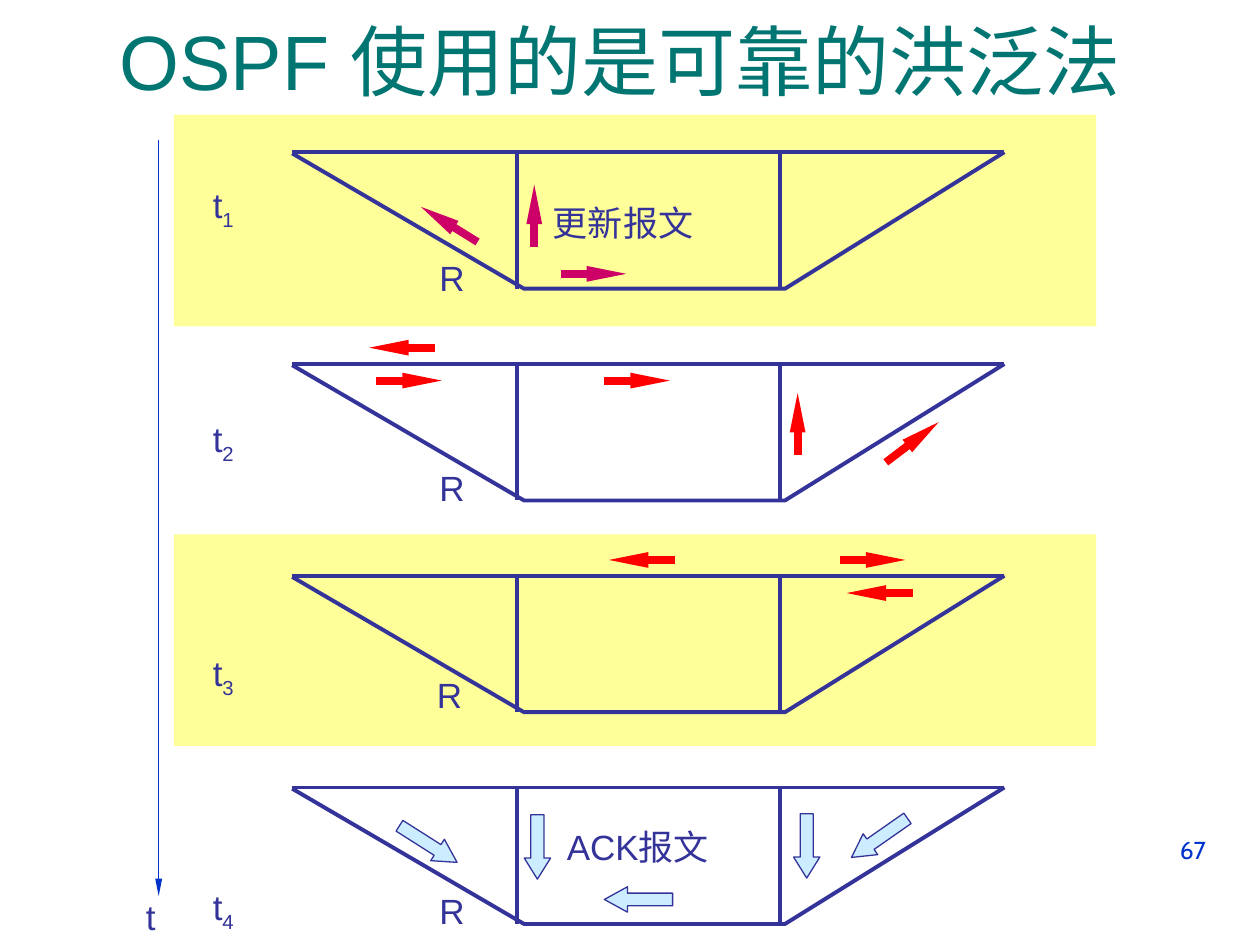
from dataclasses import dataclass

from lxml.etree import SubElement
from pptx import Presentation
from pptx.dml.color import RGBColor as RGB
from pptx.enum.shapes import MSO_CONNECTOR as CONN, MSO_SHAPE as SHAPE
from pptx.enum.text import MSO_ANCHOR as ANCHOR, MSO_AUTO_SIZE as AUTO, PP_ALIGN as ALIGN
from pptx.oxml.ns import qn
from pptx.util import Pt


@dataclass(frozen=True)
class Theme:
    title: RGB = RGB(0x00, 0x75, 0x72)
    ink: RGB = RGB(0x33, 0x33, 0x99)
    band: RGB = RGB(0xFF, 0xFF, 0x99)
    update: RGB = RGB(0xCC, 0x00, 0x66)
    forward: RGB = RGB(0xFF, 0x00, 0x00)
    ack: RGB = RGB(0xCC, 0xEC, 0xFF)
    axis: RGB = RGB(0x00, 0x33, 0xCC)
    font: str = "Arial"
    number_font: str = "Cabin"
    title_size: int = 44
    label_size: int = 20
    number_size: int = 14


T = Theme()
STEP = 121  # distance between successive moments
TOP, DEPTH = 87, 78  # first network: top edge and height
LEFT, RIGHT = 167, 574
FOOT_LEFT, FOOT_RIGHT = 299.5, 448.6
LINKS_X = (295.2, 445.7)

# Message arrows: start x, y and end x, y
UPDATES = [(320.4, 156.5, 357.8, 156.5), (272.9, 138.3, 240.5, 118.2),
           (305.3, 141, 305.3, 105.5)]
FORWARDS = [
    # t2
    (506.2, 264.2, 536.4, 241.2), (455.8, 260, 455.8, 224.6),
    (248.4, 198.7, 211, 198.7), (345.2, 217.5, 382.8, 217.5),
    (214.8, 217.5, 252.4, 217.5),
    # t3
    (385.6, 320, 348, 320), (479.9, 320, 517.4, 320), (521.6, 338.9, 483.8, 338.9),
]
# Acknowledgements: left, top, width, height, rotation, head length
ACKS = [(299.6, 465.6, 15, 36.8, 0, 0.8), (453.5, 465, 15, 36.8, 0, 0.8),
        (357.6, 494.5, 14.5, 39, 90, 0.91), (495.3, 459.3, 14.5, 39, 55.1, 0.91),
        (237.5, 462.8, 14.5, 39, 302.4, 0.91)]


def write(p, text, *, size=T.label_size, color=T.ink, font=T.font, sub=False):
    r = p.add_run()
    r.text = text
    r.font.size, r.font.name = Pt(size), font
    r.font.color.rgb = color
    if sub:
        r.font._element.set("baseline", "-25000")


def text_box(s, x, y, w, h, wrap=False):
    tf = s.shapes.add_textbox(Pt(x), Pt(y), Pt(w), Pt(h)).text_frame
    tf.word_wrap = wrap
    tf.auto_size = AUTO.SHAPE_TO_FIT_TEXT
    return tf


def label(s, text, x, y, w, h=31, wrap=False):
    write(text_box(s, x, y, w, h, wrap).paragraphs[0], text)


def line(s, x1, y1, x2, y2, color=T.ink, width=2.25, head=False):
    c = s.shapes.add_connector(CONN.STRAIGHT, Pt(x1), Pt(y1), Pt(x2), Pt(y2))
    c.line.color.rgb, c.line.width = color, Pt(width)
    if head:
        SubElement(c.line._get_or_add_ln(), qn("a:tailEnd"), type="triangle", w="sm", len="lg")
    SubElement(c._element.spPr, qn("a:effectLst"))


def shape(s, kind, x, y, w, h, fill, outline=None):
    sp = s.shapes.add_shape(kind, Pt(x), Pt(y), Pt(w), Pt(h))
    sp.shadow.inherit = False
    sp.fill.solid()
    sp.fill.fore_color.rgb = fill
    if outline:
        sp.line.color.rgb, sp.line.width = outline, Pt(0.75)
    else:
        sp.line.fill.background()
    return sp


def network(s, top):
    bottom = top + DEPTH
    line(s, LEFT, top, RIGHT, top)
    builder = s.shapes.build_freeform(Pt(LEFT), Pt(top + 0.7))
    builder.add_line_segments([(Pt(FOOT_LEFT), Pt(bottom)), (Pt(FOOT_RIGHT), Pt(bottom)),
                               (Pt(RIGHT), Pt(top))], close=False)
    sp = builder.convert_to_shape()
    sp.shadow.inherit = False
    sp.fill.background()
    sp.line.color.rgb, sp.line.width = T.ink, Pt(2.25)
    for x in LINKS_X:
        line(s, x, top, x, bottom)


def block_arrow(s, x, y, w, h, rotation, head):
    sp = shape(s, SHAPE.DOWN_ARROW, x, y, w, h, T.ack, T.ink)
    sp.adjustments[0], sp.adjustments[1] = 0.5, head
    sp.rotation = rotation


def title(s, text):
    sp = s.shapes.title
    sp.left, sp.top, sp.width, sp.height = Pt(48), Pt(3.6), Pt(613.4), Pt(60.5)
    tf = sp.text_frame
    tf.vertical_anchor, tf.word_wrap = ANCHOR.MIDDLE, True
    p = tf.paragraphs[0]
    p.alignment = ALIGN.CENTER
    write(p, text, size=T.title_size, color=T.title)


def time_labels(s):
    tf = text_box(s, 114.5, 100, 27.4, 411)
    for i in range(4):
        p = tf.add_paragraph() if i else tf.paragraphs[0]
        p.line_spacing = 1.05
        if i:
            p.space_before = Pt(105)
        write(p, "t")
        write(p, str(i + 1), sub=True)


def page_number(s, text):
    p = text_box(s, 516.2, 473.8, 180, 37.4, wrap=True).paragraphs[0]
    p.alignment = ALIGN.RIGHT
    write(p, text, size=T.number_size, color=T.axis, font=T.number_font)


def main():
    prs = Presentation()
    prs.slide_width, prs.slide_height = Pt(720), Pt(540)
    s = prs.slides.add_slide(prs.slide_layouts[5])
    title(s, "OSPF 使用的是可靠的洪泛法")

    # Bands behind t1 and t3
    for y in (65.5, 305.3):
        shape(s, SHAPE.RECTANGLE, 99.4, y, 527, 121, T.band)

    # The same network at four moments
    for i in range(4):
        network(s, TOP + i * STEP)

    # Messages
    for ends in UPDATES:
        line(s, *ends, color=T.update, width=4.5, head=True)
    for ends in FORWARDS:
        line(s, *ends, color=T.forward, width=4.5, head=True)
    for ack in ACKS:
        block_arrow(s, *ack)

    # Time axis
    line(s, 90.7, 80, 90.7, 512, color=T.axis, width=0.75, head=True)
    label(s, "t", 76.3, 508.3, 20.2)
    time_labels(s)

    # Labels
    label(s, "更新报文", 308.9, 111.6, 94.3)
    label(s, "ACK报文", 316.8, 468, 95.8, wrap=True)
    for x, y in ((244, 143.3), (244, 262.8), (242.6, 381.6), (244, 504.7)):
        label(s, "R", x, y, 28.8)
    page_number(s, "67")

    prs.save("out.pptx")


if __name__ == "__main__":
    main()
